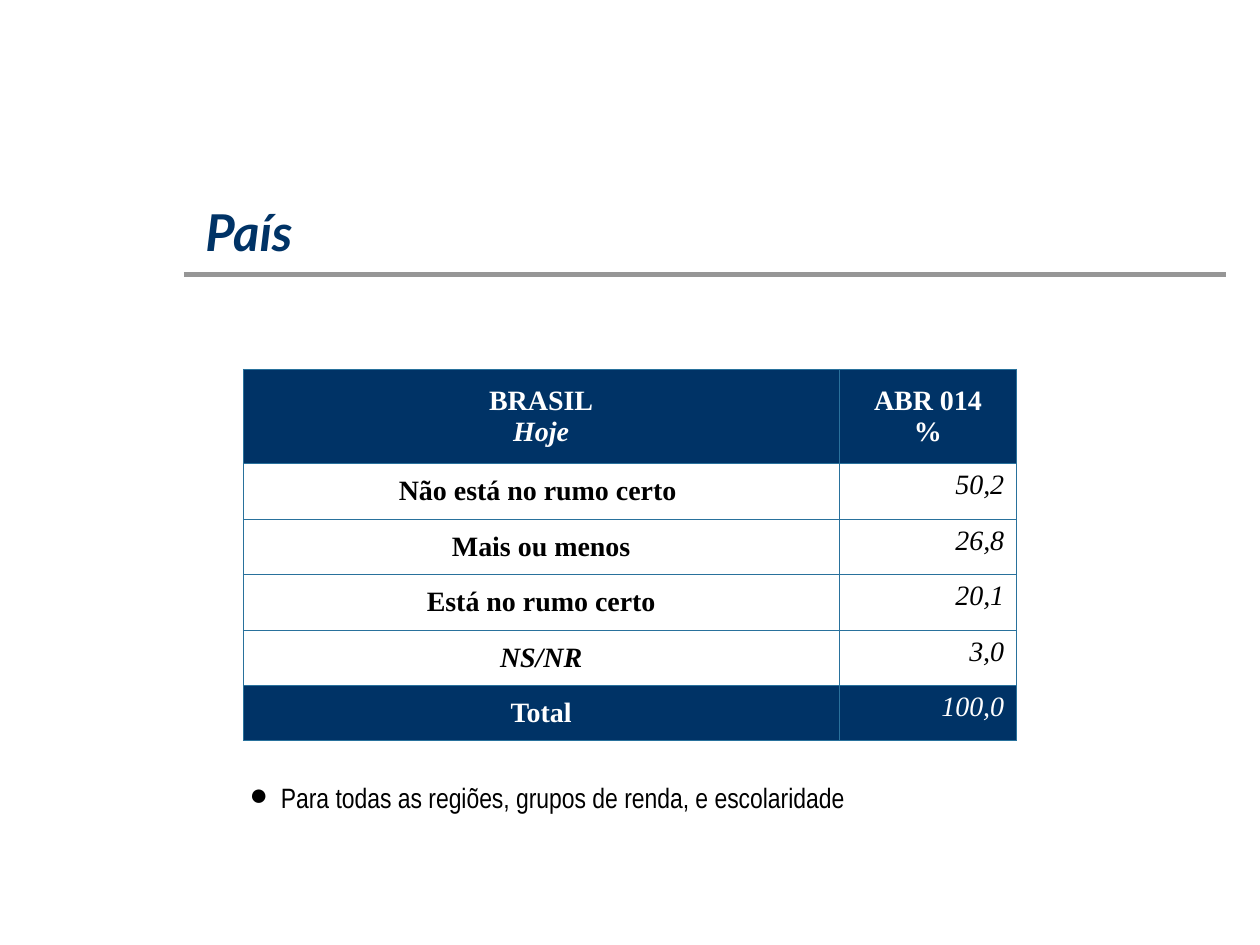
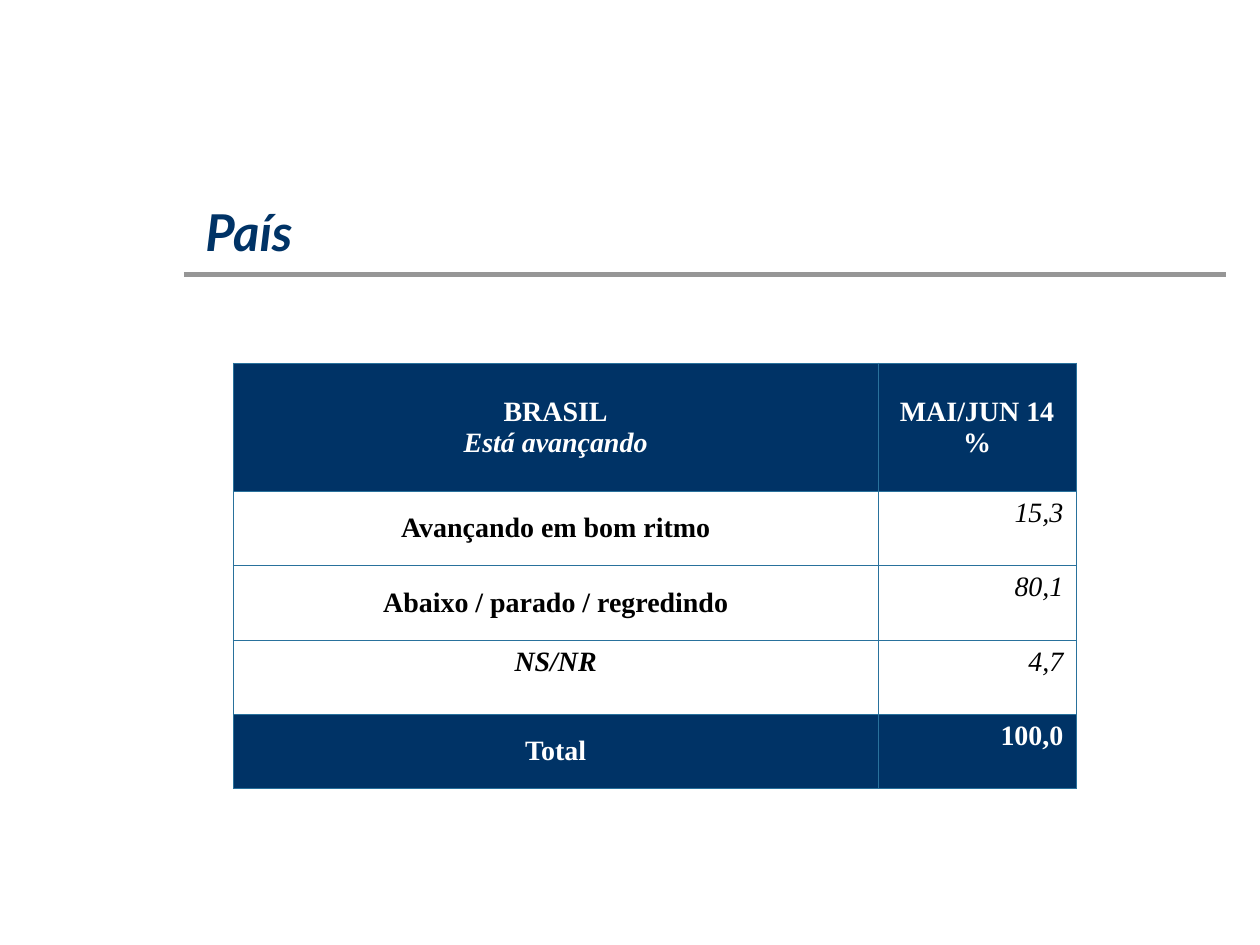
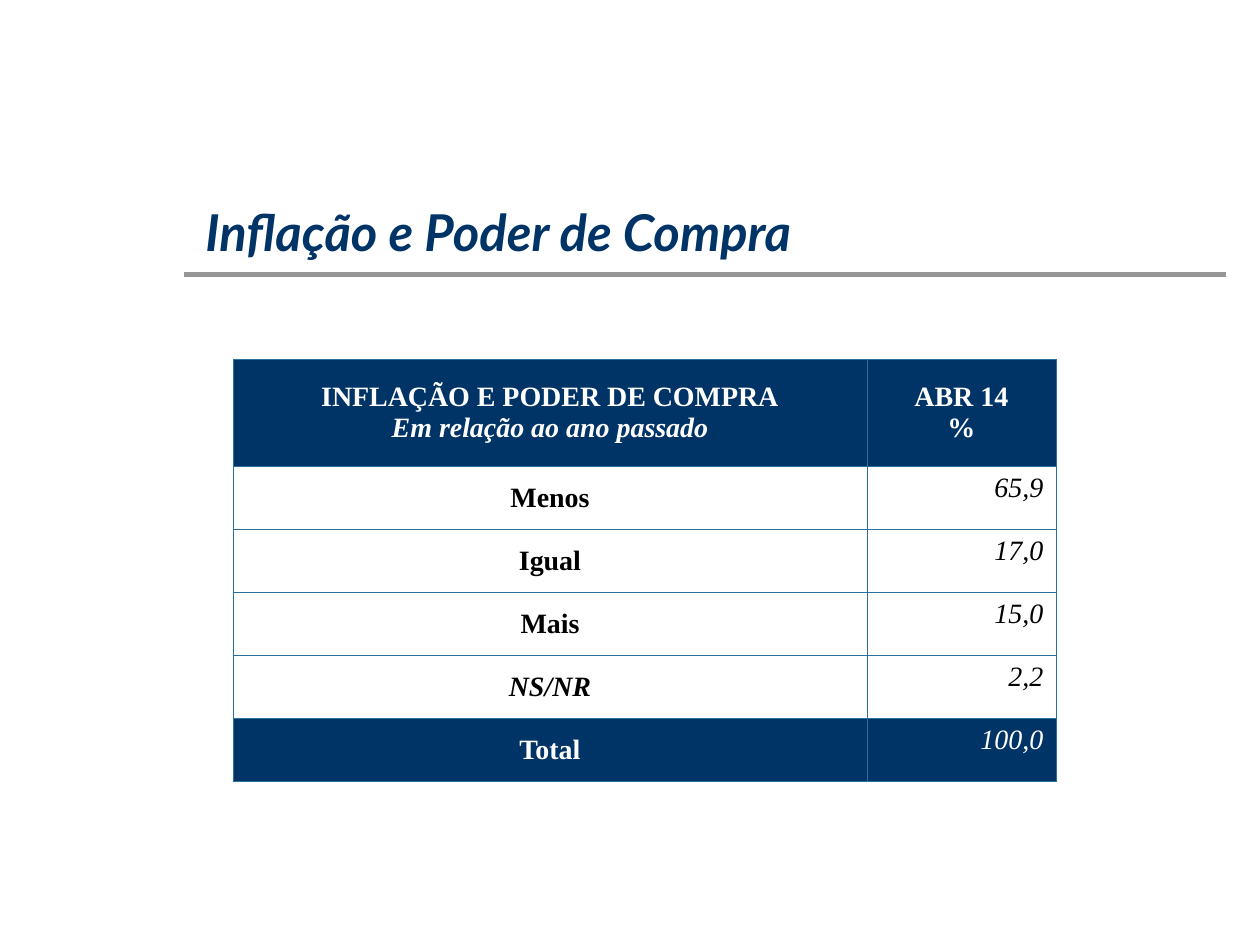
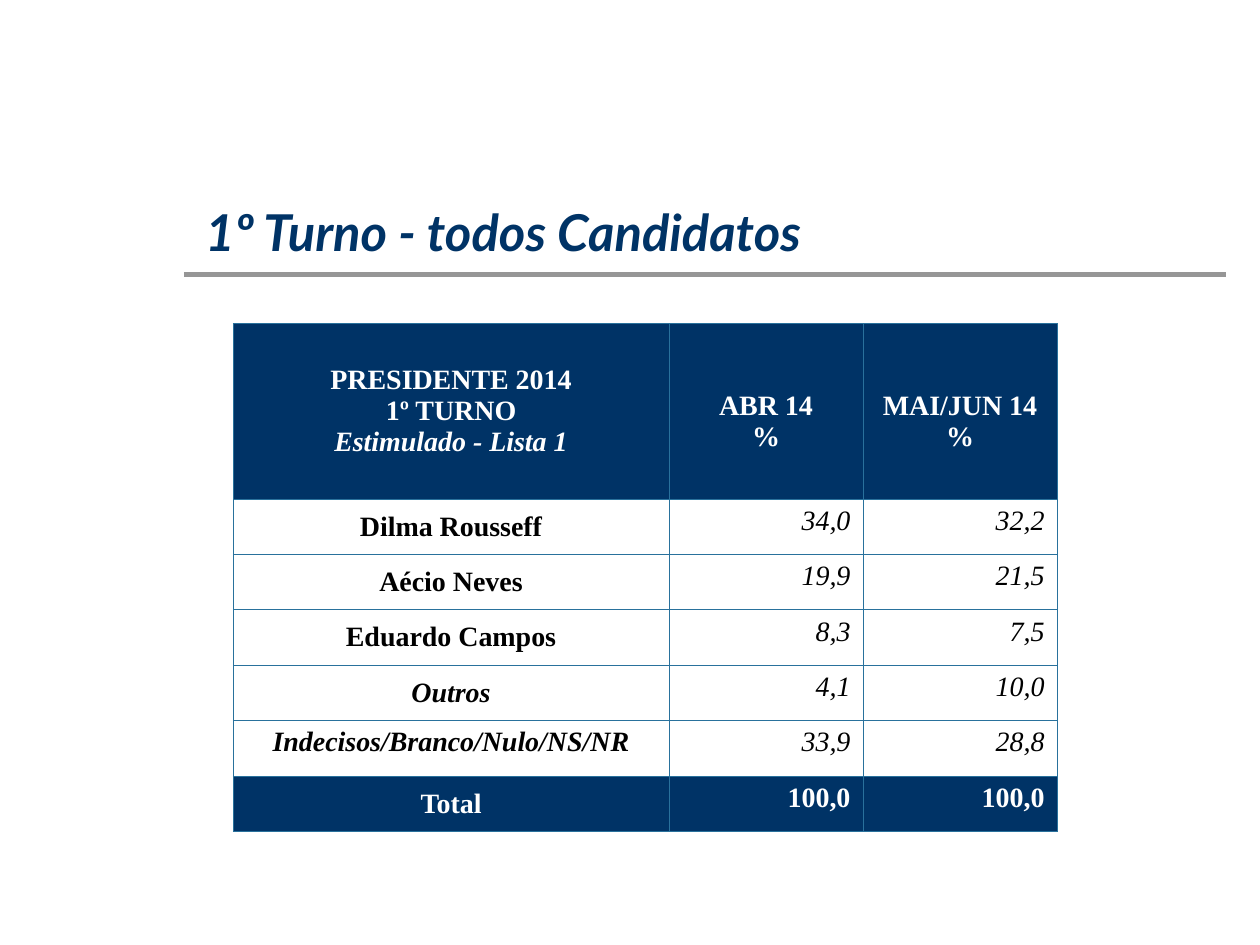
from lxml.etree import SubElement
from pptx import Presentation
from pptx.dml.color import RGBColor
from pptx.enum.shapes import MSO_CONNECTOR
from pptx.enum.text import MSO_ANCHOR, MSO_AUTO_SIZE, PP_ALIGN
from pptx.oxml.ns import qn
from pptx.util import Inches, Pt

NAVY = RGBColor(0x00, 0x33, 0x66)
GRAY = RGBColor(0x96, 0x96, 0x96)
BLUE = RGBColor(0x29, 0x71, 0x9C)
WHITE = RGBColor(0xFF, 0xFF, 0xFF)
BLACK = RGBColor(0x00, 0x00, 0x00)

TITLE_FONT, TABLE_FONT, NOTE_FONT = "Lato", "Times New Roman", "Arial Narrow"
ITALIC_LABELS = {"NS/NR", "Outros", "Indecisos/Branco/Nulo/NS/NR"}

# heading: lines of the first header cell, the last one in italics
# top_label: the one row label that sits at the top of its cell
SLIDES = [
    {
        "title": "País",
        "heading": ["BRASIL", "Hoje"],
        "periods": ["ABR 014"],
        "rows": [
            ("Não está no rumo certo ", "50,2"),
            ("Mais ou menos", "26,8"),
            ("Está no rumo certo", "20,1"),
            ("NS/NR", "3,0"),
            ("Total", "100,0"),
        ],
        "at": (1.93, 2.93), "cols": (4.73, 1.41), "heights": (0.75, 0.44),
        "note": "Para todas as regiões, grupos de renda, e escolaridade",
    },
    {
        "title": "País",
        "heading": ["BRASIL", "Está avançando"],
        "periods": ["MAI/JUN 14"],
        "rows": [
            ("Avançando em bom ritmo", "15,3"),
            ("Abaixo / parado / regredindo", "80,1"),
            ("NS/NR", "4,7"),
            ("Total", "100,0"),
        ],
        "at": (1.85, 2.88), "cols": (5.12, 1.57), "heights": (1.02, 0.59),
        "top_label": "NS/NR", "bold_total": True,
    },
    {
        "title": "Inflação e Poder de Compra",
        "heading": ["INFLAÇÃO E PODER DE COMPRA", "Em relação ao ano passado"],
        "periods": ["ABR 14"],
        "rows": [
            ("Menos", "65,9"),
            ("Igual", "17,0"),
            ("Mais", "15,0"),
            ("NS/NR", "2,2"),
            ("Total", "100,0"),
        ],
        "at": (1.85, 2.85), "cols": (5.03, 1.5), "heights": (0.85, 0.5),
    },
    {
        "title": "1º Turno - todos Candidatos",
        "heading": ["PRESIDENTE 2014", "1º TURNO", "Estimulado - Lista 1"],
        "periods": ["ABR 14", "MAI/JUN 14"],
        "rows": [
            ("Dilma Rousseff", "34,0", "32,2"),
            ("Aécio Neves", "19,9", "21,5"),
            ("Eduardo Campos", "8,3", "7,5"),
            ("Outros", "4,1", "10,0"),
            ("Indecisos/Branco/Nulo/NS/NR", "33,9", "28,8"),
            ("Total", "100,0", "100,0"),
        ],
        "at": (1.85, 2.57), "cols": (3.46, 1.54, 1.54), "heights": (1.39, 0.44),
        "top_label": "Indecisos/Branco/Nulo/NS/NR", "bold_total": True,
        "period_drop": 0.16,
    },
]


def add_text(tf, text, font=TABLE_FONT, size=16, color=BLACK, bold=False,
             italic=False, align=PP_ALIGN.LEFT):
    """Write text as the next paragraph of tf, filling the empty first one."""
    p = tf.paragraphs[0]
    if p.runs:
        p = tf.add_paragraph()
    p.alignment = align
    r = p.add_run()
    r.text = text
    r.font.name, r.font.size = font, Pt(size)
    r.font.bold, r.font.italic = bold, italic
    r.font.color.rgb = color
    return p


def style_cell(cell, fill, anchor=MSO_ANCHOR.MIDDLE):
    tcPr = cell._tc.get_or_add_tcPr()
    for side in ("a:lnL", "a:lnR", "a:lnT", "a:lnB"):
        ln = SubElement(tcPr, qn(side), w=str(Pt(0.45)))
        solid = SubElement(ln, qn("a:solidFill"))
        SubElement(solid, qn("a:srgbClr"), val=str(BLUE))
    cell.fill.solid()
    cell.fill.fore_color.rgb = fill
    cell.vertical_anchor = anchor


def add_title_rule(slide):
    """Draw the rule under the title and move it to the shared layout."""
    line = slide.shapes.add_connector(
        MSO_CONNECTOR.STRAIGHT, Inches(1.46), Inches(2.18), Inches(9.73), Inches(2.18))
    line.line.color.rgb = GRAY
    line.line.width = Pt(3)
    SubElement(line.element.spPr, qn("a:effectLst"))
    slide.slide_layout.shapes.element.append(line.element)


def set_title(slide, text):
    sp = slide.shapes.title
    sp.left, sp.top, sp.width, sp.height = map(Inches, (1.53, 1.54, 7.99, 0.59))
    tf = sp.text_frame
    tf.vertical_anchor = MSO_ANCHOR.TOP
    tf.auto_size = MSO_AUTO_SIZE.SHAPE_TO_FIT_TEXT
    add_text(tf, text, font=TITLE_FONT, size=29, color=NAVY, bold=True, italic=True)


def add_header(table, data):
    first, *others = table.rows[0].cells
    style_cell(first, NAVY)
    for line in data["heading"]:
        add_text(first.text_frame, line, color=WHITE, bold=True,
                 italic=line == data["heading"][-1], align=PP_ALIGN.CENTER)
    for cell, period in zip(others, data["periods"]):
        style_cell(cell, NAVY)
        cell.margin_top = Inches(0.05 + data.get("period_drop", 0))
        for line in (period, "%"):
            add_text(cell.text_frame, line, color=WHITE, bold=True, align=PP_ALIGN.CENTER)


def add_body_row(cells, values, data):
    label = values[0]
    is_total = label == "Total"
    fill, color = (NAVY, WHITE) if is_total else (WHITE, BLACK)
    bold_values = is_total and data.get("bold_total", False)
    label_cell, *value_cells = cells
    at_top = label == data.get("top_label")
    style_cell(label_cell, fill, MSO_ANCHOR.TOP if at_top else MSO_ANCHOR.MIDDLE)
    add_text(label_cell.text_frame, label, color=color, bold=True,
             italic=label in ITALIC_LABELS, align=PP_ALIGN.CENTER)
    for cell, value in zip(value_cells, values[1:]):
        style_cell(cell, fill, MSO_ANCHOR.TOP)
        add_text(cell.text_frame, value, color=color, bold=bold_values,
                 italic=not bold_values, align=PP_ALIGN.RIGHT)


def add_poll_table(slide, data):
    head, body = data["heights"]
    heights = [head] + [body] * len(data["rows"])
    left, top = data["at"]
    table = slide.shapes.add_table(
        len(heights), len(data["cols"]), Inches(left), Inches(top),
        Inches(sum(data["cols"])), Inches(sum(heights))).table
    for col, width in zip(table.columns, data["cols"]):
        col.width = Inches(width)
    for row, height in zip(table.rows, heights):
        row.height = Inches(height)
    add_header(table, data)
    for i, values in enumerate(data["rows"], 1):
        add_body_row(table.rows[i].cells, values, data)


def add_note(slide, text):
    box = slide.shapes.add_textbox(Inches(1.45), Inches(6.02), Inches(8.27), Inches(0.49))
    tf = box.text_frame
    tf.word_wrap = True
    tf.vertical_anchor = MSO_ANCHOR.BOTTOM
    tf.margin_left = tf.margin_right = 0
    p = add_text(tf, text, font=NOTE_FONT)
    p.line_spacing = 1.3
    pPr = p._p.get_or_add_pPr()
    pPr.set("marL", str(Inches(0.78)))
    pPr.set("indent", str(-Inches(0.25)))
    SubElement(pPr, qn("a:buSzPct"), val="112000")
    SubElement(pPr, qn("a:buFont"), typeface=NOTE_FONT)
    SubElement(pPr, qn("a:buChar"), char="●")


def main():
    prs = Presentation()
    prs.slide_width, prs.slide_height = Inches(10), Inches(7.5)
    layout = prs.slide_layouts.get_by_name("Title Only")
    for i, data in enumerate(SLIDES):
        slide = prs.slides.add_slide(layout)
        if i == 0:
            add_title_rule(slide)
        set_title(slide, data["title"])
        add_poll_table(slide, data)
        if "note" in data:
            add_note(slide, data["note"])
    prs.save("out.pptx")


if __name__ == "__main__":
    main()
